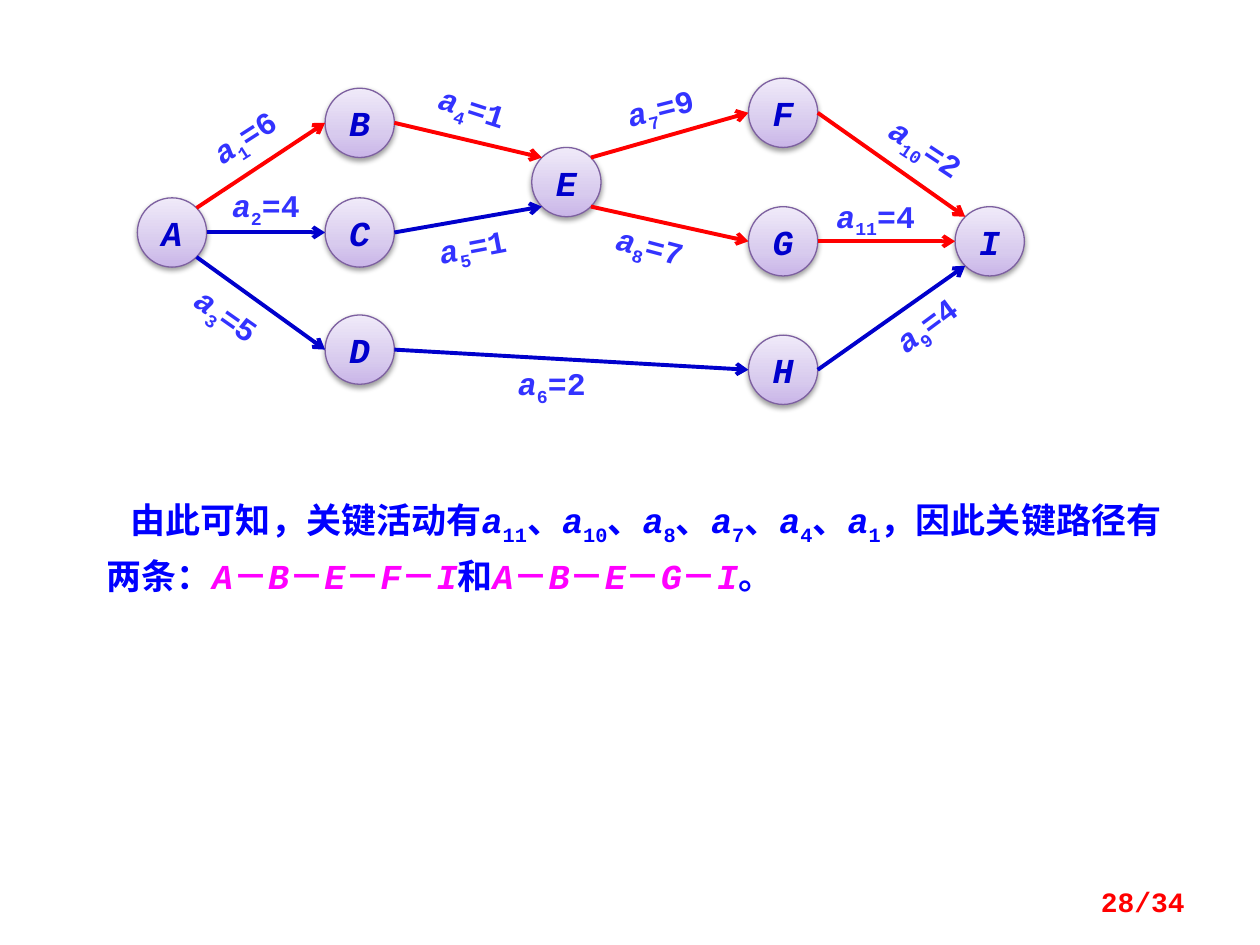
from math import sqrt

from lxml.etree import SubElement
from pptx import Presentation
from pptx.dml.color import RGBColor
from pptx.enum.shapes import MSO_CONNECTOR, MSO_SHAPE
from pptx.enum.text import MSO_ANCHOR, PP_ALIGN
from pptx.oxml import parse_xml
from pptx.oxml.ns import nsdecls, qn
from pptx.util import Pt

PX = 9144  # 100 px to the inch
FONT = "Courier New"
COLORS = {
    "critical": "FF0000", "normal": "0000CC", "node_text": "0000CC",
    "label": "3333FF", "body": "0000FF", "path": "FF00FF",
    "page": "FF0000", "outline": "7D60A0", "shadow": "000000",
}
NODE_GRADIENT = [(0, "C9B5E8"), (35, "D8CBEE"), (100, "F0EAF9")]

NODE_SIZE = 55
# Left and top of each event, relative to the network's box
NODES = {
    "A": (0, 95), "B": (149, 8), "C": (149, 95), "D": (149, 188),
    "E": (313, 55), "F": (485, 0), "G": (485, 102), "H": (485, 204),
    "I": (649, 102),
}
DIAGONAL = 1 / sqrt(2)
SITES = {
    "left": (-1, 0), "right": (1, 0),
    "top left": (-DIAGONAL, -DIAGONAL), "top right": (DIAGONAL, -DIAGONAL),
    "bottom left": (-DIAGONAL, DIAGONAL), "bottom right": (DIAGONAL, DIAGONAL),
}
# Start, site, end, site, kind
EDGES = [
    ("A", "top right", "B", "left", "critical"),
    ("A", "right", "C", "left", "normal"),
    ("A", "bottom right", "D", "left", "normal"),
    ("B", "right", "E", "top left", "critical"),
    ("C", "right", "E", "bottom left", "normal"),
    ("E", "top right", "F", "left", "critical"),
    ("E", "bottom right", "G", "left", "critical"),
    ("D", "right", "H", "left", "normal"),
    ("F", "right", "I", "top left", "critical"),
    ("G", "right", "I", "left", "critical"),
    ("H", "right", "I", "bottom left", "normal"),
]
# Activity number, duration, left, top, rotation
LABELS = [
    (1, 6, 38, 31, -32.7), (2, 4, 55, 86, 0), (3, 5, 24, 173, 35.2),
    (4, 1, 219, 8, 17.8), (5, 1, 219, 118, -10.8), (6, 2, 282, 227, 0),
    (7, 9, 368, 8, -14), (8, 7, 360, 118, 14.7), (9, 4, 579, 180, -36.6),
    (10, 2, 579, 40, 33.4), (11, 4, 539, 94, 0),
]
CRITICAL_ACTIVITIES = [11, 10, 8, 7, 4, 1]
CRITICAL_PATHS = ["ABEFI", "ABEGI"]


def px(*lengths):
    return [round(length * PX) for length in lengths]


def color(name):
    return RGBColor.from_string(COLORS[name])


def style_paragraph(paragraph, size, color_name, alignment=None):
    paragraph.alignment = alignment
    font = paragraph.font
    font.name, font.size, font.bold = FONT, Pt(size), True
    font.color.rgb = color(color_name)


def add_run(paragraph, text, italic=None, color_name=None):
    run = paragraph.add_run()
    run.text = text
    run.font.italic = italic
    if color_name:
        run.font.color.rgb = color(color_name)
    return run


def add_activity(paragraph, number):
    """Add an italic a with its number as a subscript."""
    add_run(paragraph, "a", italic=True)
    subscript = add_run(paragraph, str(number))
    subscript.font._element.set("baseline", "-25000")


def add_node(shapes, name, left, top):
    node = shapes.add_shape(MSO_SHAPE.OVAL, *px(left, top, NODE_SIZE, NODE_SIZE))
    node.line.color.rgb = color("outline")
    node.line.width = Pt(0.75)
    stops = "".join(
        f'<a:gs pos="{position * 1000}"><a:srgbClr val="{value}"/></a:gs>'
        for position, value in NODE_GRADIENT)
    properties = node._element.spPr
    properties.find(qn("a:prstGeom")).addnext(parse_xml(
        f'<a:gradFill {nsdecls("a")} rotWithShape="1"><a:gsLst>{stops}</a:gsLst>'
        '<a:lin ang="16200000" scaled="1"/></a:gradFill>'))
    properties.append(parse_xml(
        f'<a:effectLst {nsdecls("a")}><a:outerShdw blurRad="{Pt(3.1)}" '
        f'dist="{Pt(1.6)}" dir="5400000" rotWithShape="0">'
        f'<a:srgbClr val="{COLORS["shadow"]}"><a:alpha val="38000"/></a:srgbClr>'
        '</a:outerShdw></a:effectLst>'))
    node.text_frame.vertical_anchor = MSO_ANCHOR.MIDDLE
    paragraph = node.text_frame.paragraphs[0]
    style_paragraph(paragraph, 20, "node_text", PP_ALIGN.CENTER)
    add_run(paragraph, name, italic=True, color_name="node_text")


def site_position(name, site, left, top):
    radius = NODE_SIZE / 2
    return [origin + offset + radius * (1 + direction) for origin, offset, direction
            in zip((left, top), NODES[name], SITES[site])]


def add_edge(shapes, start, end, color_name):
    edge = shapes.add_connector(MSO_CONNECTOR.STRAIGHT, *px(*start, *end))
    edge.line.color.rgb = color(color_name)
    edge.line.width = Pt(2.25)
    SubElement(edge.line._get_or_add_ln(), qn("a:tailEnd"), type="arrow")
    SubElement(edge._element.spPr, qn("a:effectLst"))


def add_label(shapes, number, duration, left, top, rotation):
    label = shapes.add_textbox(*px(left, top, 94, 31))
    label.rotation = rotation
    frame = label.text_frame
    frame.word_wrap = True
    frame.margin_left = frame.margin_right = frame.margin_top = frame.margin_bottom = 0
    paragraph = frame.paragraphs[0]
    style_paragraph(paragraph, 18, "label", PP_ALIGN.CENTER)
    add_activity(paragraph, number)
    add_run(paragraph, f"={duration}")


def add_network(slide, left, top):
    """Draw the activity-on-edge network."""
    shapes = slide.shapes.add_group_shape().shapes
    for name, (x, y) in NODES.items():
        add_node(shapes, name, left + x, top + y)
    for start, start_site, end, end_site, kind in EDGES:
        add_edge(shapes, site_position(start, start_site, left, top),
                 site_position(end, end_site, left, top), kind)
    for number, duration, x, y, rotation in LABELS:
        add_label(shapes, number, duration, left + x, top + y, rotation)


def add_conclusion(slide, left, top, width, height):
    frame = slide.shapes.add_textbox(*px(left, top, width, height)).text_frame
    frame.word_wrap = True
    paragraph = frame.paragraphs[0]
    paragraph.line_spacing = 1.2
    paragraph._p.get_or_add_pPr().set("indent", str(19 * PX))
    style_paragraph(paragraph, 20, "body")
    add_run(paragraph, "由此可知，关键活动有")
    for index, number in enumerate(CRITICAL_ACTIVITIES):
        if index:
            add_run(paragraph, "、")
        add_activity(paragraph, number)
    add_run(paragraph, "，因此关键路径有两条：")
    for path_index, events in enumerate(CRITICAL_PATHS):
        if path_index:
            add_run(paragraph, "和")
        for index, event in enumerate(events):
            if index:
                add_run(paragraph, "－", color_name="path")
            add_run(paragraph, event, italic=True, color_name="path")
    add_run(paragraph, "。")


def add_page_number(slide, left, top, width, height):
    frame = slide.shapes.add_textbox(*px(left, top, width, height)).text_frame
    frame.word_wrap = True
    frame.vertical_anchor = MSO_ANCHOR.MIDDLE
    paragraph = frame.paragraphs[0]
    style_paragraph(paragraph, 16, "page", PP_ALIGN.RIGHT)
    add_run(paragraph, "28/34")


def main():
    presentation = Presentation()
    presentation.slide_width, presentation.slide_height = px(1000, 750)
    slide = presentation.slides.add_slide(presentation.slide_layouts[6])
    add_conclusion(slide, 75, 383, 882, 87)
    add_network(slide, 109, 62)
    add_page_number(slide, 717, 695, 233, 40)
    presentation.save("out.pptx")


if __name__ == "__main__":
    main()
